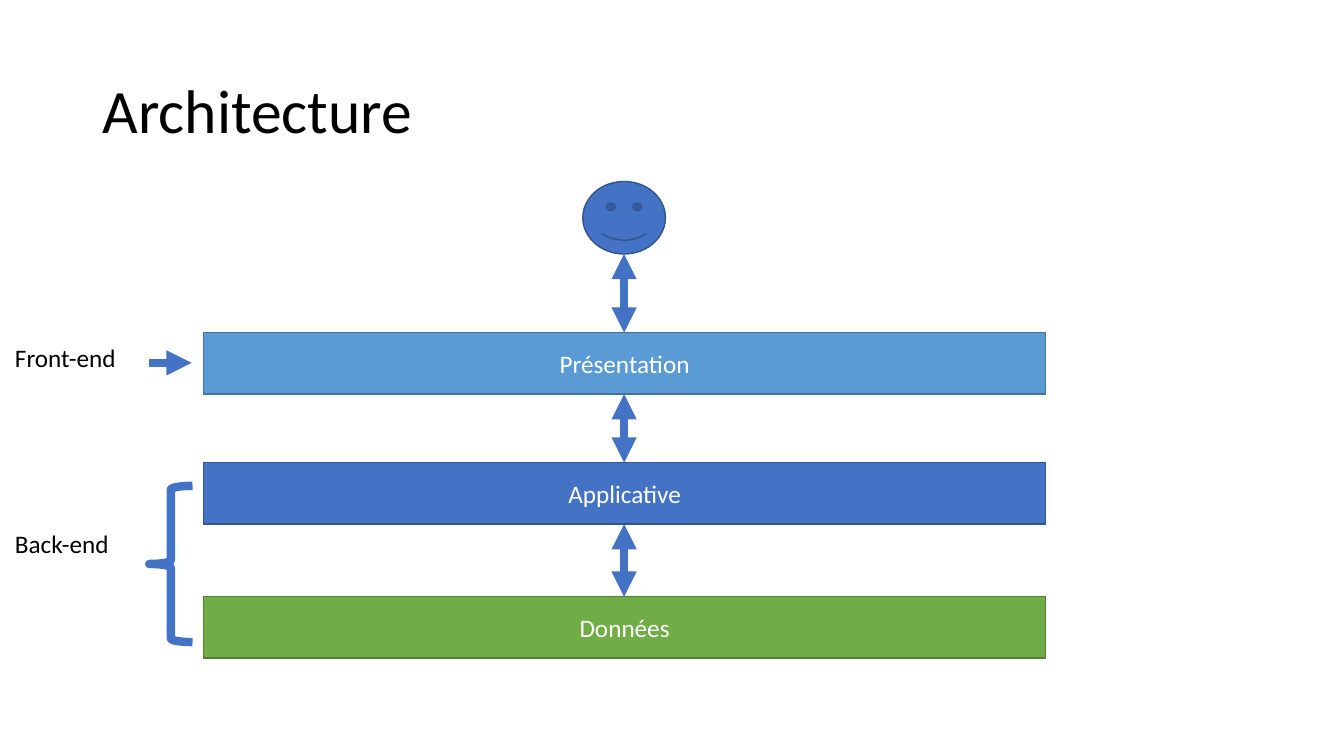
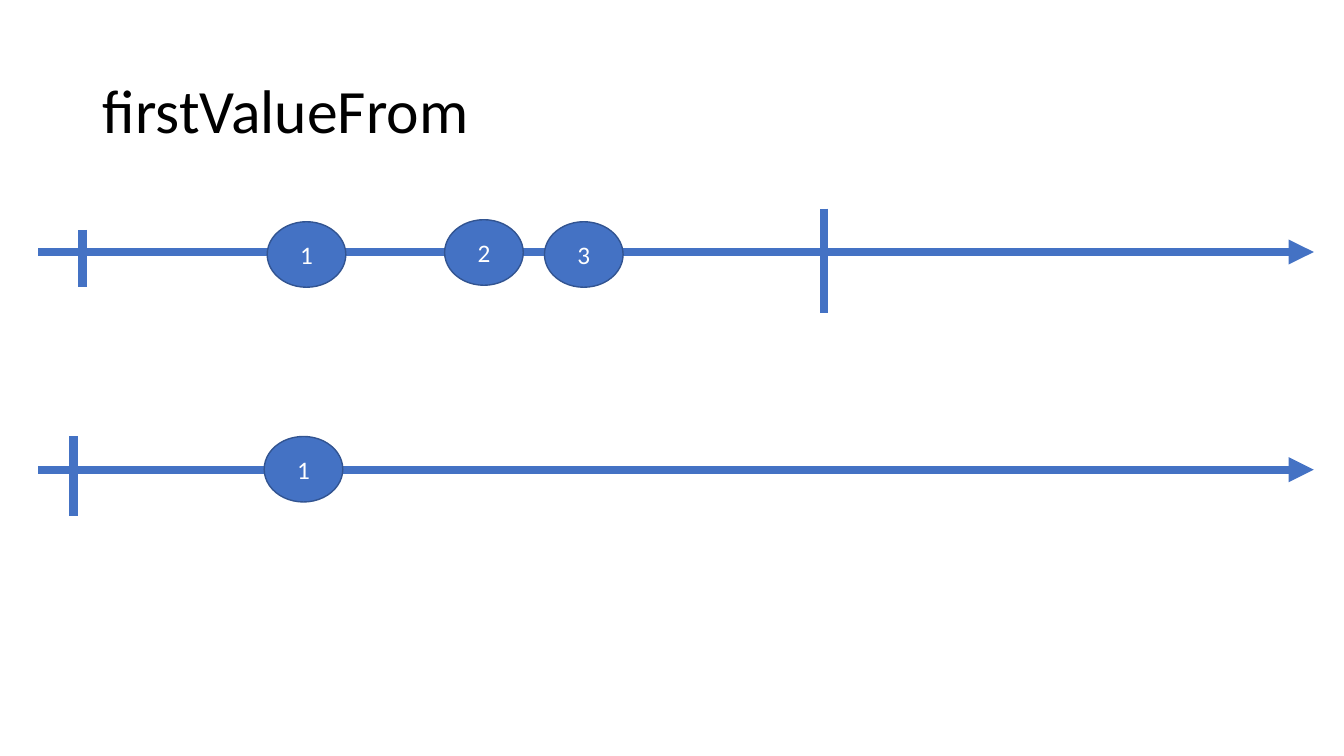
from lxml import etree
from pptx import Presentation
from pptx.dml.color import RGBColor
from pptx.enum import shapes, text
from pptx.oxml import ns
from pptx.util import Inches, Pt

FONT = "Calibri"
BLACK, WHITE = "000000", "FFFFFF"
BLUE, NAVY = "4472C4", "325491"
KIND = shapes.MSO_SHAPE


def color(code):
    """Turn a hex string into a colour."""
    return RGBColor.from_string(code)


def write(frame, words, size, ink, align=text.PP_ALIGN.LEFT):
    """Put one run of text into the first paragraph of a frame."""
    para = frame.paragraphs[0]
    para.alignment = align
    run = para.add_run()
    run.text = words
    run.font.name = FONT
    run.font.size = Pt(size)
    run.font.color.rgb = color(ink)
    return para


def label(slide, words, left, top, width):
    """Add a one-line side label."""
    box = slide.shapes.add_textbox(
        Inches(left), Inches(top), Inches(width), Inches(0.4))
    box.text_frame.word_wrap = False
    write(box.text_frame, words, 18, BLACK)


def page(deck, words):
    """Add a blank slide with the shared title style."""
    slide = deck.slides.add_slide(deck.slide_layouts[6])
    box = slide.shapes.add_textbox(
        Inches(0.92), Inches(0.4), Inches(11.5), Inches(1.45))
    frame = box.text_frame
    frame.word_wrap = True
    frame.vertical_anchor = text.MSO_ANCHOR.MIDDLE
    write(frame, words, 44, BLACK).line_spacing = 0.9
    return slide


def shape(slide, kind, area, fill=BLUE, edge=NAVY, words="", weight=1):
    """Add a preset shape, filled and lettered on demand."""
    item = slide.shapes.add_shape(kind, *map(Inches, area))
    item.shadow.inherit = False
    if fill:
        item.fill.solid()
        item.fill.fore_color.rgb = color(fill)
    else:
        item.fill.background()
    item.line.color.rgb = color(edge)
    item.line.width = Pt(weight)
    if words:
        frame = item.text_frame
        frame.vertical_anchor = text.MSO_ANCHOR.MIDDLE
        write(frame, words, 18, WHITE, text.PP_ALIGN.CENTER)


def line(slide, x1, y1, x2, y2, ends=()):
    """Add a thick line with triangles at the named ends."""
    item = slide.shapes.add_connector(
        shapes.MSO_CONNECTOR.STRAIGHT, *map(Inches, (x1, y1, x2, y2)))
    item.line.color.rgb = color(BLUE)
    item.line.width = Pt(6)
    stroke = item.line._get_or_add_ln()
    for end in ends:
        etree.SubElement(stroke, ns.qn(f"a:{end}"), type="triangle")
    etree.SubElement(item._element.spPr, ns.qn("a:effectLst"))


def layers(deck):
    """Build the architecture slide."""
    slide = page(deck, "Architecture")
    left, width, height, mid = 2.02, 8.35, 0.61, 6.19
    tiers = [("Présentation", 3.3, "5B9BD5", "43739E"),
             ("Applicative", 4.59, BLUE, NAVY),
             ("Données", 5.92, "70AD47", "538035")]
    shape(slide, KIND.SMILEY_FACE, (5.78, 1.8, 0.82, 0.72))
    above = 2.52
    for words, top, fill, edge in tiers:
        shape(slide, KIND.RECTANGLE, (left, top, width, height),
              fill, edge, words)
        line(slide, mid, above, mid, top, ("headEnd", "tailEnd"))
        above = top + height
    shape(slide, KIND.LEFT_BRACE, (1.48, 4.82, 0.43, 1.55),
          None, BLUE, weight=6)
    label(slide, "Back-end", 0.05, 5.19, 1.15)
    label(slide, "Front-end", 0.05, 3.35, 1.22)
    line(slide, 1.48, 3.6, 1.9, 3.6, ("tailEnd",))


def stream(slide, axis, ticks, marbles):
    """Draw a time arrow with its ticks and numbered marbles."""
    line(slide, 0.38, axis, 13.03, axis, ("tailEnd",))
    for x, top, base in ticks:
        line(slide, x, top, x, base)
    for words, left, top in marbles:
        shape(slide, KIND.OVAL, (left, top, 0.78, 0.65), words=words)


def marbles(deck):
    """Build the firstValueFrom slide."""
    slide = page(deck, "firstValueFrom")
    stream(slide, 2.5, [(0.82, 2.28, 2.85), (8.17, 2.07, 3.11)],
           [("1", 2.65, 2.2), ("2", 4.41, 2.18), ("3", 5.4, 2.2)])
    stream(slide, 4.66, [(0.73, 4.33, 5.12)], [("1", 2.62, 4.33)])


def main():
    """Build and save the deck."""
    deck = Presentation()
    deck.slide_width, deck.slide_height = Inches(13.33), Inches(7.5)
    layers(deck)
    marbles(deck)
    deck.save("out.pptx")


main()
